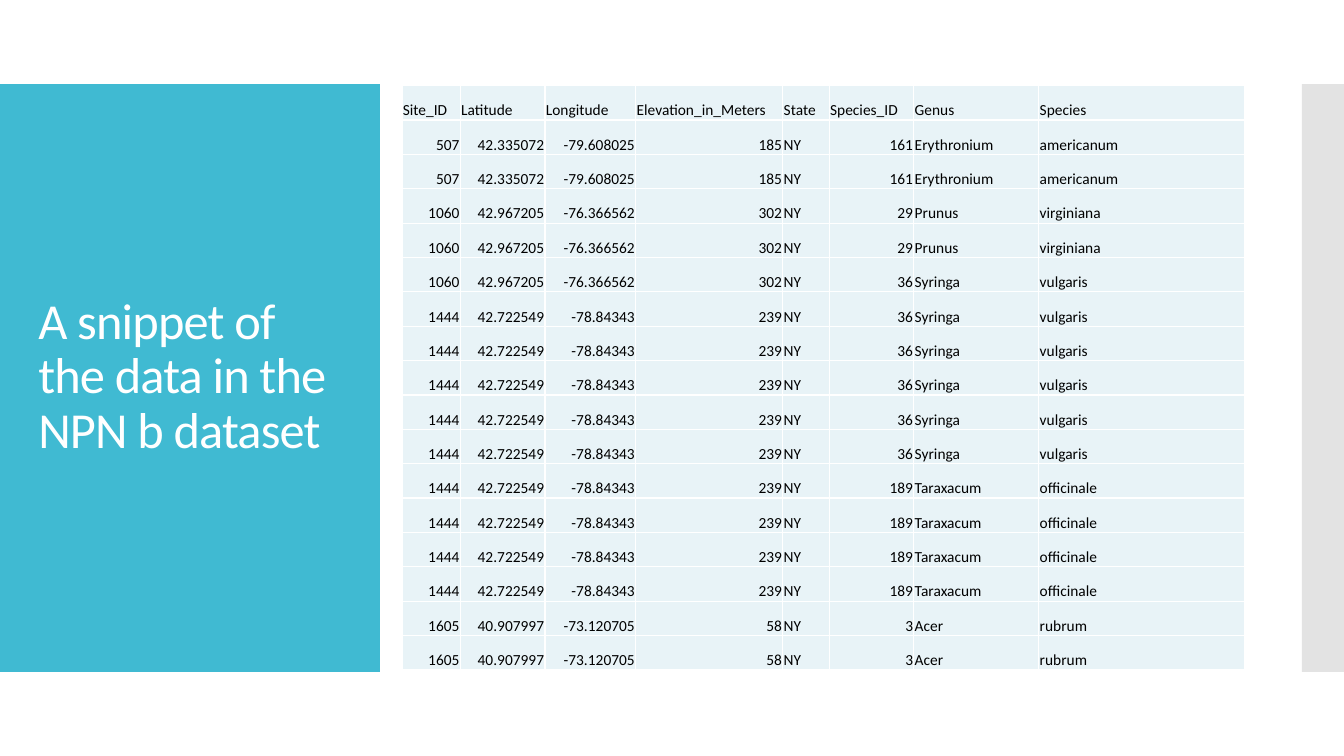
from dataclasses import dataclass
from lxml import etree
from pptx import Presentation
from pptx.dml.color import RGBColor
from pptx.enum.shapes import MSO_SHAPE
from pptx.enum.text import MSO_ANCHOR, MSO_AUTO_SIZE, PP_ALIGN
from pptx.oxml.ns import qn
from pptx.util import Pt

RECTANGLE = MSO_SHAPE.RECTANGLE
MIDDLE, BOTTOM = MSO_ANCHOR.MIDDLE, MSO_ANCHOR.BOTTOM
LEFT, RIGHT = PP_ALIGN.LEFT, PP_ALIGN.RIGHT
NO_AUTOFIT = MSO_AUTO_SIZE.NONE

TITLE = "A snippet of the data in the NPN b dataset"
COLUMNS = [
    ("Site_ID", 41.76, RIGHT),
    ("Latitude", 60.48, RIGHT),
    ("Longitude", 64.8, RIGHT),
    ("Elevation_in_Meters", 105.12, RIGHT),
    ("State", 33.12, LEFT),
    ("Species_ID", 60.48, RIGHT),
    ("Genus", 89.28, LEFT),
    ("Species", 146.88, LEFT),
]
SITES = {
    "507": ("42.335072", "-79.608025", "185", "NY"),
    "1060": ("42.967205", "-76.366562", "302", "NY"),
    "1444": ("42.722549", "-78.84343", "239", "NY"),
    "1605": ("40.907997", "-73.120705", "58", "NY"),
}
PLANTS = {
    "161": ("Erythronium", "americanum"),
    "29": ("Prunus", "virginiana"),
    "36": ("Syringa", "vulgaris"),
    "189": ("Taraxacum", "officinale"),
    "3": ("Acer", "rubrum"),
}
SIGHTINGS = [
    ("507", "161", 2),
    ("1060", "29", 2),
    ("1060", "36", 1),
    ("1444", "36", 5),
    ("1444", "189", 4),
    ("1605", "3", 2),
]


@dataclass(frozen=True)
class Theme:
    font: str = "Calibri"
    title_size: float = 36
    table_size: float = 11
    title_color: str = "FFFFFF"
    table_color: str = "000000"
    cell_fill: str = "E8F3F7"
    border: str = "FFFFFF"
    panel: str = "40BAD2"
    edge: str = "C8C8C8"


THEME = Theme()
SLIDE_WIDTH, SLIDE_HEIGHT = 960, 540
PANEL_TOP, PANEL_HEIGHT = 60, 420
PANEL_WIDTH, EDGE_WIDTH = 271.3, 30
TITLE_BOX = (20.16, 88.56, 231.84, 362.16)
TABLE_LEFT, TABLE_TOP, TABLE_HEIGHT = 287.1, 61.2, 417.6
CELL_INSET = 0.6


def style_run(run, size, color):
    run.font.name = THEME.font
    run.font.size = Pt(size)
    run.font.color.rgb = RGBColor.from_string(color)


def add_panel(slide, left, width, color):
    panel = slide.shapes.add_shape(
        RECTANGLE, Pt(left), Pt(PANEL_TOP), Pt(width), Pt(PANEL_HEIGHT))
    panel.shadow.inherit = False
    panel.fill.solid()
    panel.fill.fore_color.rgb = RGBColor.from_string(color)
    panel.line.fill.background()
    return panel


def add_borders(cell):
    properties = cell._tc.get_or_add_tcPr()
    for side in ("a:lnL", "a:lnR", "a:lnT", "a:lnB"):
        border = etree.SubElement(properties, qn(side), w=str(Pt(1)))
        fill = etree.SubElement(border, qn("a:solidFill"))
        etree.SubElement(fill, qn("a:srgbClr"), val=THEME.border)


def fill_cell(cell, text, alignment):
    add_borders(cell)
    cell.fill.solid()
    cell.fill.fore_color.rgb = RGBColor.from_string(THEME.cell_fill)
    cell.margin_left = cell.margin_right = cell.margin_top = Pt(CELL_INSET)
    cell.margin_bottom = 0
    cell.vertical_anchor = BOTTOM
    paragraph = cell.text_frame.paragraphs[0]
    paragraph.text = text
    paragraph.alignment = alignment
    style_run(paragraph.runs[0], THEME.table_size, THEME.table_color)


def place_title(title):
    title.left, title.top, title.width, title.height = map(Pt, TITLE_BOX)
    frame = title.text_frame
    frame.text = TITLE
    frame.word_wrap = True
    frame.auto_size = NO_AUTOFIT
    frame.vertical_anchor = MIDDLE
    paragraph = frame.paragraphs[0]
    paragraph.alignment = LEFT
    paragraph.line_spacing = 0.9
    run = paragraph.runs[0]
    style_run(run, THEME.title_size, THEME.title_color)
    run.font._element.set("spc", "-60")


def add_sightings(slide):
    names, widths, alignments = zip(*COLUMNS)
    records = [
        (site, *SITES[site], plant, *PLANTS[plant])
        for site, plant, count in SIGHTINGS
        for _ in range(count)
    ]
    row_count = len(records) + 1
    table = slide.shapes.add_table(
        row_count, len(COLUMNS), Pt(TABLE_LEFT), Pt(TABLE_TOP),
        Pt(sum(widths)), Pt(TABLE_HEIGHT)).table
    table.first_row = table.horz_banding = False
    for column, width in zip(table.columns, widths):
        column.width = Pt(width)
    for row in table.rows:
        row.height = Pt(TABLE_HEIGHT / row_count)
    for column, name in enumerate(names):
        fill_cell(table.cell(0, column), name, LEFT)
    for row, record in enumerate(records, 1):
        for column, value in enumerate(record):
            fill_cell(table.cell(row, column), value, alignments[column])


def main():
    presentation = Presentation()
    presentation.slide_width = Pt(SLIDE_WIDTH)
    presentation.slide_height = Pt(SLIDE_HEIGHT)
    slide = presentation.slides.add_slide(presentation.slide_layouts[5])
    add_panel(slide, 0, PANEL_WIDTH, THEME.panel)
    edge = add_panel(slide, SLIDE_WIDTH - EDGE_WIDTH, EDGE_WIDTH, THEME.edge)
    edge_color = edge._element.spPr.find(qn("a:solidFill"))[0]
    etree.SubElement(edge_color, qn("a:alpha"), val="50000")
    title = slide.shapes.title
    place_title(title)
    edge._element.addnext(title._element)
    add_sightings(slide)
    presentation.save("out.pptx")


if __name__ == "__main__":
    main()
